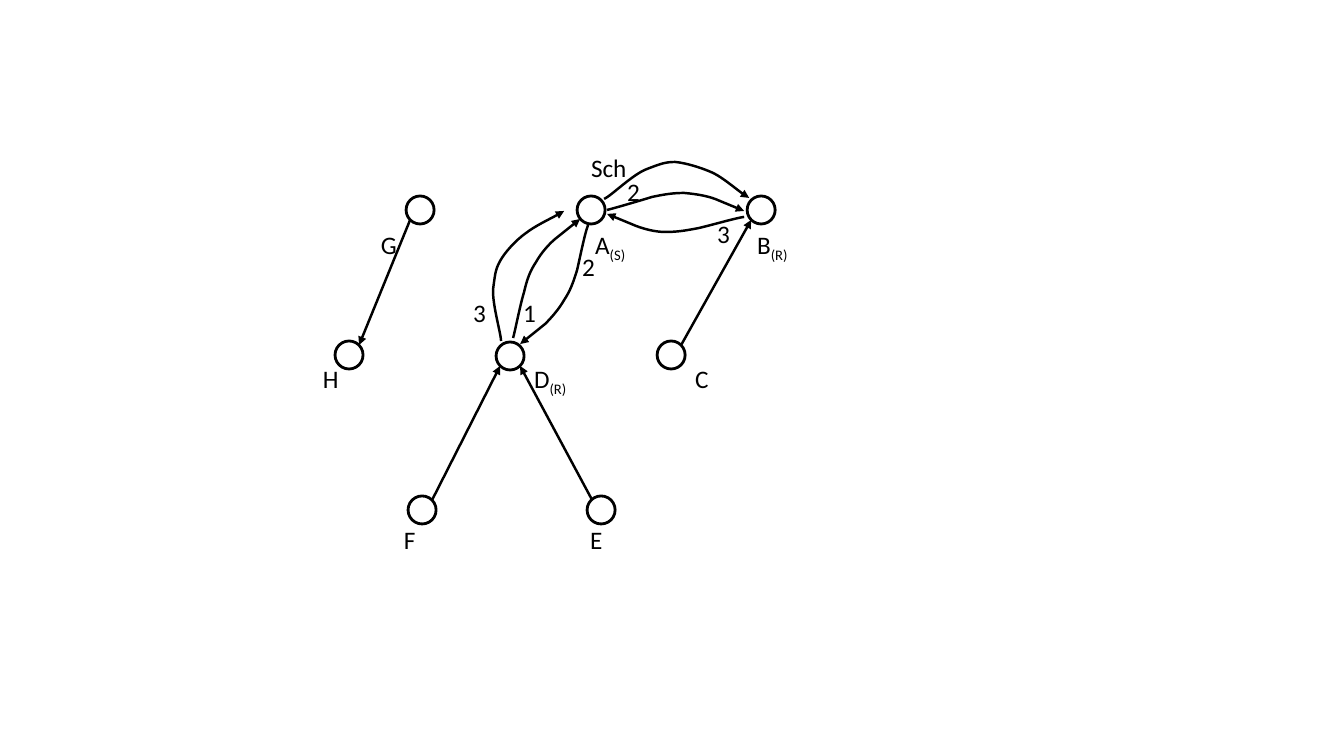
from pptx import Presentation
from pptx.dml.color import RGBColor
from pptx.enum.shapes import MSO_CONNECTOR as Link, MSO_SHAPE as Kind
from pptx.enum.text import MSO_AUTO_SIZE as Auto
from pptx.oxml.ns import qn
from pptx.oxml.xmlchemy import OxmlElement as Node
from pptx.util import Inches, Pt

BLACK = RGBColor(0, 0, 0)
SCALE = Inches(1) / 100.8
DOT = 28
FONT = {"name": "Calibri", "size": Pt(18)}


def px(*nums):
    return [round(n * SCALE) for n in nums]


def ink(shape, width, arrow=False):
    shape.line.color.rgb = BLACK
    shape.line.width = Pt(width)
    if arrow:
        tail = Node("a:tailEnd")
        tail.set("type", "triangle")
        shape.line._get_or_add_ln().append(tail)


deck = Presentation()
deck.slide_width, deck.slide_height = Inches(13.33), Inches(7.5)
slide = deck.slides.add_slide(deck.slide_layouts[6])
shapes = slide.shapes

# Nodes: left and top
dots = {
    "H": (335, 341), "D": (496, 342), "C": (657, 341), "G": (406, 196),
    "A": (577, 196), "F": (408, 496), "E": (587, 496), "B": (747, 196),
}
for x, y in dots.values():
    dot = shapes.add_shape(Kind.OVAL, *px(x, y, DOT, DOT))
    dot.shadow.inherit = False
    dot.fill.background()
    ink(dot, 2)

# Curved links: start, then three points per curve; a last single point is straight
curves = [
    [(513, 338), (515, 331), (520, 305), (524, 292), (527, 279), (530, 271),
     (536, 262), (541, 253), (549, 244), (555, 239), (580, 219)],
    [(588, 225), (585, 232), (580, 257), (577, 270), (573, 283), (570, 291),
     (564, 300), (559, 309), (551, 318), (545, 324), (520, 344)],
    [(607, 210), (615, 208), (639, 201), (652, 197), (666, 194), (674, 193),
     (684, 193), (696, 194), (707, 196), (715, 199), (744, 211)],
    [(744, 217), (736, 218), (712, 225), (699, 228), (684, 231), (676, 232),
     (665, 232), (655, 232), (644, 229), (636, 226), (607, 214)],
    [(501, 341), (501, 334), (492, 304), (493, 289), (495, 275), (495, 270),
     (500, 261), (505, 252), (516, 240), (526, 233), (535, 226), (558, 215),
     (564, 211)],
    [(604, 199), (611, 196), (633, 174), (647, 169), (660, 164), (665, 162),
     (675, 162), (686, 163), (702, 168), (713, 173), (723, 178), (743, 195),
     (749, 198)],
]
for start, *rest in curves:
    pen = shapes.build_freeform(*start, scale=SCALE)
    pen.add_line_segments(rest, close=False)
    curve = pen.convert_to_shape()
    curve.shadow.inherit = False
    curve.fill.background()
    ink(curve, 1.75, arrow=True)
    steps = list(curve._element.iter(qn("a:lnTo")))
    for i in range(0, len(steps) - 2, 3):
        first, *more = steps[i:i + 3]
        bend = Node("a:cubicBezTo")
        first.addprevious(bend)
        for step in (first, *more):
            bend.append(step[0])
            step.getparent().remove(step)

# Straight links
links = [
    (432, 500, 500, 366), (592, 500, 520, 366),
    (410, 220, 359, 345), (681, 345, 751, 220),
]
for ends in links:
    link = shapes.add_connector(Link.STRAIGHT, *px(*ends))
    ink(link, 1.75, arrow=True)
    link._element.spPr.append(Node("a:effectLst"))

# Labels: text, subscript, left, top, width
labels = [
    ("F", "", 394, 519, 42), ("E", "", 580, 519, 42),
    ("D", "(R)", 524, 358, 54), ("A", "(S)", 585, 224, 54),
    ("B", "(R)", 747, 224, 57), ("C", "", 685, 358, 42),
    ("G", "", 371, 224, 42), ("H", "", 313, 358, 42),
    ("1", "", 513, 292, 37), ("2", "", 572, 246, 37),
    ("2", "", 617, 171, 37), ("3", "", 707, 213, 37),
    ("3", "", 463, 292, 37), ("Sch", "", 581, 147, 58),
]
for text, sub, x, y, wide in labels:
    frame = shapes.add_textbox(*px(x, y, wide, 40)).text_frame
    frame.word_wrap = True
    frame.auto_size = Auto.SHAPE_TO_FIT_TEXT
    for part, base in ((text, 0), (sub, -25000)):
        if not part:
            continue
        run = frame.paragraphs[0].add_run()
        run.text = part
        for key, val in FONT.items():
            setattr(run.font, key, val)
        run.font.color.rgb = BLACK
        if base:
            run.font._element.set("baseline", str(base))

deck.save("out.pptx")
